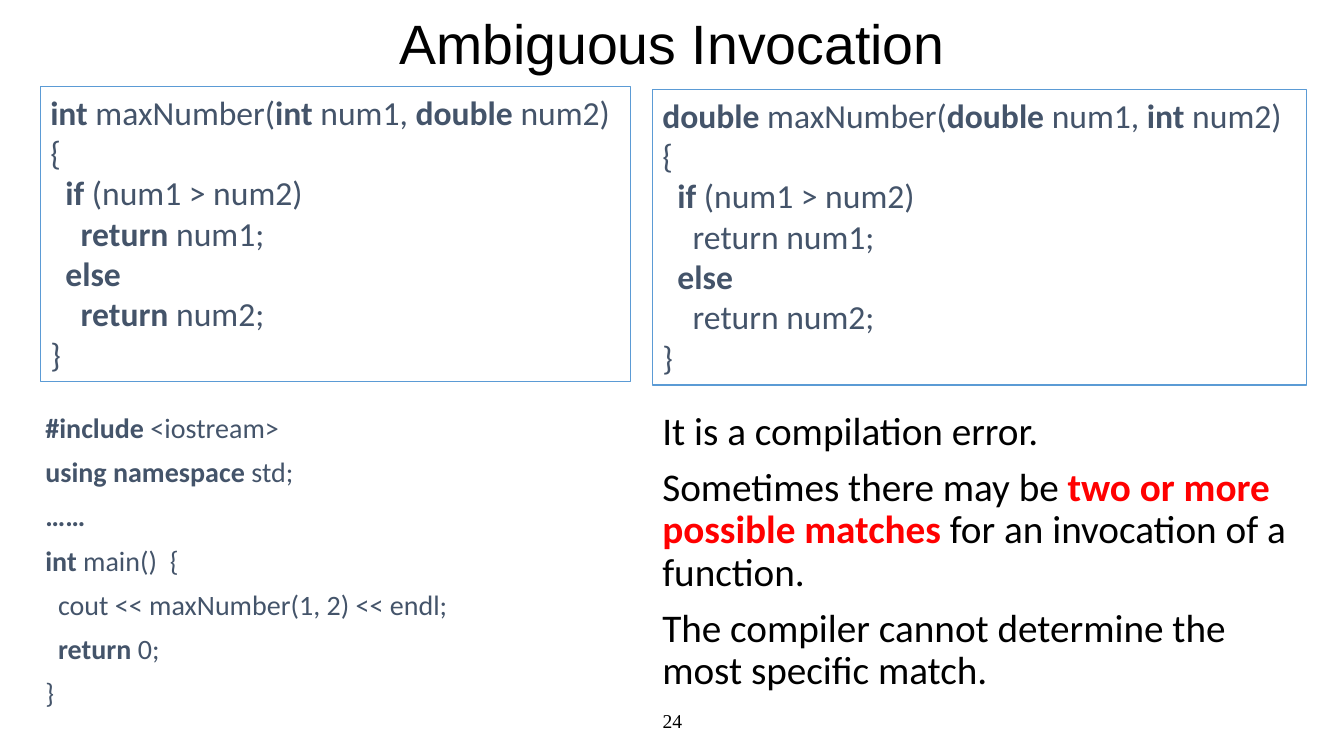
from pptx import Presentation
from pptx.dml.color import RGBColor
from pptx.enum.shapes import MSO_SHAPE
from pptx.enum.text import MSO_ANCHOR, MSO_AUTO_SIZE, PP_ALIGN
from pptx.oxml.ns import qn
from pptx.util import Inches, Pt
from lxml.etree import SubElement

BLACK = RGBColor(0x00, 0x00, 0x00)
RED = RGBColor(0xFF, 0x00, 0x00)
SLATE = RGBColor(0x44, 0x54, 0x6A)
BLUE = RGBColor(0x5B, 0x9B, 0xD5)

LEFT_CODE = """**int** maxNumber(**int** num1, **double** num2)
{
  **if** (num1 > num2)
    **return** num1;
  **else**
    **return** num2;
}"""

RIGHT_CODE = """**double** maxNumber(**double** num1, **int** num2)
{
  **if** (num1 > num2)
    return num1;
  **else**
    return num2;
}"""

MAIN_CODE = """**#include** <iostream>
**using namespace** std;
**……**
**int** main()  {
  cout << maxNumber(1, 2) << endl;
  **return** 0;
}"""

NOTES = """It is a compilation error.
Sometimes there may be **two or more possible matches** for an invocation of a function.
The compiler cannot determine the most specific match."""


def write(frame, text, size=24, font="Calibri", color=SLATE, strong=None,
          align=PP_ALIGN.LEFT, anchor=MSO_ANCHOR.TOP, spacing=1.0, before=0):
    frame.word_wrap = True
    frame.auto_size = MSO_AUTO_SIZE.NONE
    frame.vertical_anchor = anchor
    for row, line in enumerate(text.split("\n")):
        para = frame.add_paragraph() if row else frame.paragraphs[0]
        props = para._p.get_or_add_pPr()
        props.set("marL", "0")
        props.set("indent", "0")
        SubElement(props, qn("a:buNone"))
        para.alignment = align
        para.line_spacing = spacing
        para.space_before = Pt(before if row else 0)
        para.space_after = Pt(0)
        for part, chunk in enumerate(line.split("**")):
            if not chunk:
                continue
            bold = part % 2 == 1
            run = para.add_run()
            run.text = chunk
            run.font.name = font
            run.font.size = Pt(size)
            run.font.bold = bold
            run.font.color.rgb = strong if bold and strong else color


def place(shape, left, top, width, height):
    shape.left, shape.top = Inches(left), Inches(top)
    shape.width, shape.height = Inches(width), Inches(height)
    return shape.text_frame


def add_text(slide, left, top, width, height, text, **style):
    box = slide.shapes.add_textbox(
        Inches(left), Inches(top), Inches(width), Inches(height))
    write(box.text_frame, text, **style)


def add_code(slide, left, top, width, text):
    box = slide.shapes.add_shape(
        MSO_SHAPE.RECTANGLE, Inches(left), Inches(top), Inches(width), Inches(2.93))
    box.shadow.inherit = False
    box.fill.background()
    box.line.color.rgb = BLUE
    box.line.width = Pt(0.75)
    write(box.text_frame, text)


def main():
    deck = Presentation()
    deck.slide_width, deck.slide_height = Inches(13.33), Inches(7.5)
    slide = deck.slides.add_slide(deck.slide_layouts[1])

    title = place(slide.shapes.title, 0, 0.17, 13.33, 0.58)
    write(title, "Ambiguous Invocation", size=39.6, font="Arial", color=BLACK,
          align=PP_ALIGN.CENTER, anchor=MSO_ANCHOR.MIDDLE, spacing=0.9)
    body = place(slide.placeholders[1], 0.35, 4.06, 5.68, 3.3)
    write(body, MAIN_CODE, size=20, spacing=0.9, before=10)

    add_code(slide, 6.47, 0.89, 6.49, RIGHT_CODE)
    add_code(slide, 0.4, 0.86, 5.85, LEFT_CODE)
    add_text(slide, 6.47, 4.03, 6.49, 3.37, NOTES, size=28, color=BLACK,
             strong=RED, spacing=0.9, before=10)
    add_text(slide, 4.42, 6.95, 4.5, 0.4, "24", size=14, font="Times New Roman",
             color=BLACK, align=PP_ALIGN.CENTER, anchor=MSO_ANCHOR.MIDDLE)
    deck.save("out.pptx")


if __name__ == "__main__":
    main()
